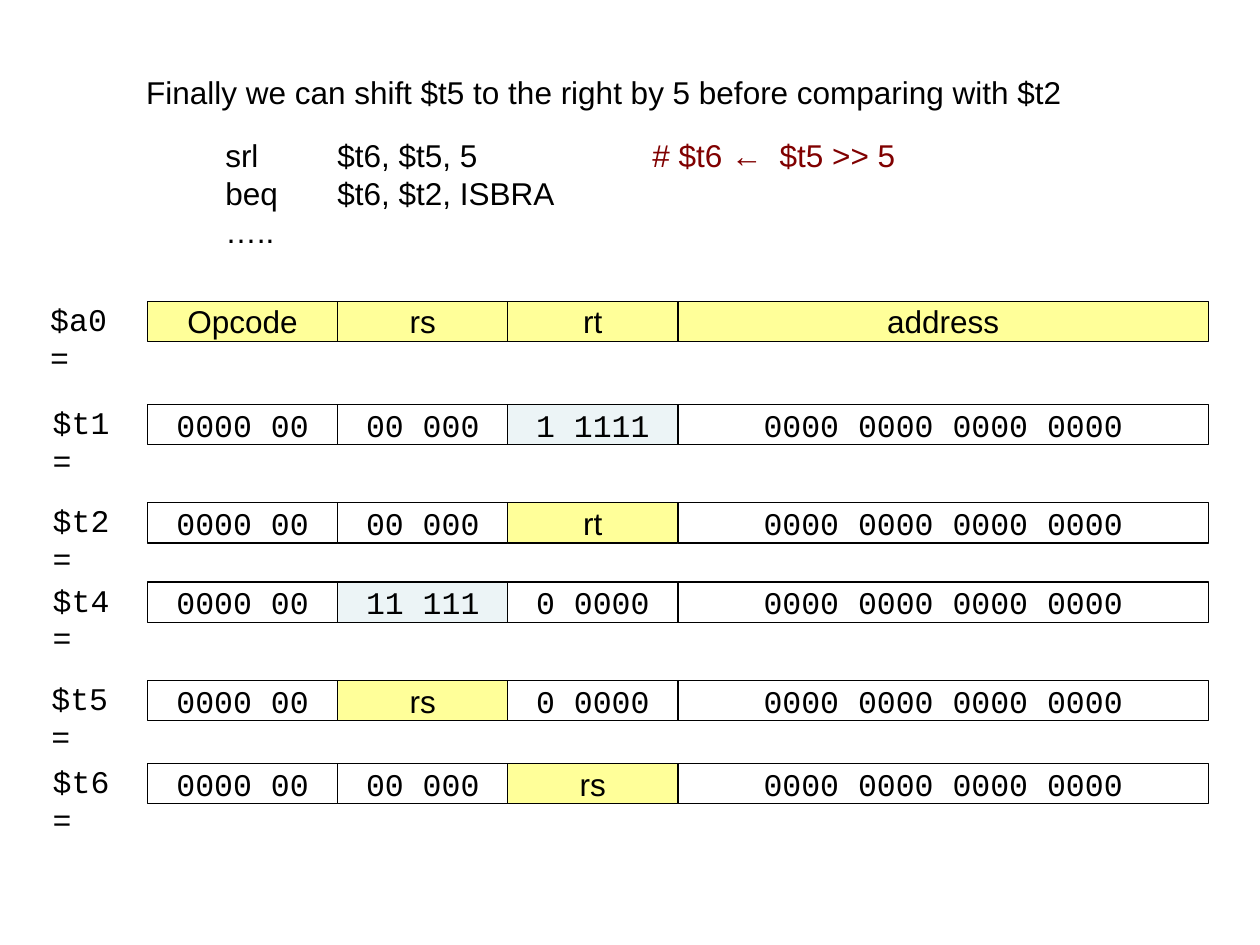
from dataclasses import dataclass
from itertools import accumulate

from lxml.etree import SubElement
from pptx import Presentation
from pptx.dml.color import RGBColor
from pptx.enum.shapes import MSO_SHAPE
from pptx.enum.text import MSO_ANCHOR, PP_ALIGN
from pptx.oxml.ns import qn
from pptx.util import Inches, Pt


@dataclass(frozen=True)
class Theme:
    """Colours, fonts and sizes of the slide."""
    ink: RGBColor = RGBColor(0, 0, 0)
    note: RGBColor = RGBColor(0x80, 0, 0)
    field: RGBColor = RGBColor(0xFF, 0xFF, 0x99)
    mask: RGBColor = RGBColor(0xEC, 0xF4, 0xF6)
    plain: RGBColor = RGBColor(0xFF, 0xFF, 0xFF)
    sans: str = "Arial"
    mono: str = "Courier New"
    size: Pt = Pt(18)
    rule: Pt = Pt(0.75)


THEME = Theme()
WIDTHS = (1.51, 1.35, 1.35, 4.21)
LEFTS = tuple(accumulate(WIDTHS[:-1], initial=1.17))
HIGH = 0.32
ZEROS = "0000 0000 0000 0000"
ROWS = (
    ("$a0 =", 0.3, 2.39, ("Opcode", "rs", "rt", "address")),
    ("$t1 =", 0.32, 3.21, ("0000 00", "00 000", "1 1111", ZEROS)),
    ("$t2 =", 0.32, 3.99, ("0000 00", "00 000", "rt", ZEROS)),
    ("$t4 =", 0.32, 4.62, ("0000 00", "11 111", "0 0000", ZEROS)),
    ("$t5 =", 0.31, 5.4, ("0000 00", "rs", "0 0000", ZEROS)),
    ("$t6 =", 0.32, 6.06, ("0000 00", "00 000", "rs", ZEROS)),
)
CODE = (
    (("srl\t$t6, $t5, 5\t", THEME.ink), ("# $t6 ←\t$t5 >> 5", THEME.note)),
    (("beq\t$t6, $t2, ISBRA", THEME.ink),),
    (("…..", THEME.ink),),
)
STOPS = (0.89, 3.39, 4.4)


def apply(item, style):
    """Set each attribute named in style on item."""
    for name, value in style.items():
        setattr(item, name, value)


def write(para, text, face=THEME.sans, ink=THEME.ink):
    """Add a formatted run to a paragraph."""
    run = para.add_run()
    run.text = text
    apply(run.font, {"name": face, "size": THEME.size, "bold": False})
    run.font.color.rgb = ink


def set_tabs(para, stops):
    """Give a paragraph left tab stops, in inches."""
    tabs = SubElement(para._p.get_or_add_pPr(), qn("a:tabLst"))
    for stop in stops:
        SubElement(tabs, qn("a:tab"), pos=str(Inches(stop)), algn="l")


def add_title(slide, text):
    """Place the opening sentence in the title placeholder."""
    title = slide.shapes.title
    apply(title, {"left": Inches(1.06), "top": Inches(0.53),
                  "width": Inches(7.5), "height": Inches(0.4)})
    apply(title.text_frame, {"vertical_anchor": MSO_ANCHOR.TOP, "word_wrap": True})
    para = title.text_frame.paragraphs[0]
    para.alignment = PP_ALIGN.LEFT
    write(para, text)


def add_code(slide, lines):
    """Add the code listing with its columns on tab stops."""
    box = slide.shapes.add_textbox(Inches(1.69), Inches(1.03), Inches(5.6), Inches(1))
    frame = box.text_frame
    frame.word_wrap = True
    for num, line in enumerate(lines):
        para = frame.add_paragraph() if num else frame.paragraphs[0]
        set_tabs(para, STOPS)
        for text, ink in line:
            write(para, text, ink=ink)


def add_cell(group, text, left, top, width):
    """Add one bit field, styled by what it holds."""
    bits = text[0].isdigit()
    fill = THEME.field if not bits else THEME.mask if "1" in text else THEME.plain
    cell = group.shapes.add_shape(MSO_SHAPE.RECTANGLE, Inches(left), Inches(top),
                                  Inches(width), Inches(HIGH))
    cell.shadow.inherit = False
    cell.fill.solid()
    cell.fill.fore_color.rgb = fill
    cell.line.color.rgb = THEME.ink
    cell.line.width = THEME.rule
    apply(cell.text_frame, {"vertical_anchor": MSO_ANCHOR.MIDDLE, "word_wrap": False})
    para = cell.text_frame.paragraphs[0]
    para.alignment = PP_ALIGN.CENTER
    write(para, text, THEME.mono if bits else THEME.sans)


def add_row(slide, label, edge, top, texts):
    """Add one register as a group of fields and a label."""
    group = slide.shapes.add_group_shape()
    for text, left, width in zip(texts, LEFTS, WIDTHS):
        add_cell(group, text, left, top, width)
    box = group.shapes.add_textbox(Inches(edge), Inches(top - 0.06),
                                   Inches(0.78), Inches(0.4))
    box.text_frame.word_wrap = True
    write(box.text_frame.paragraphs[0], label, THEME.mono)


def main():
    """Build and save the slide."""
    deck = Presentation()
    apply(deck, {"slide_width": Inches(10), "slide_height": Inches(7.5)})
    slide = deck.slides.add_slide(deck.slide_layouts[5])
    add_title(slide, "Finally we can shift $t5 to the right by 5 before comparing with $t2")
    for row in ROWS:
        add_row(slide, *row)
    add_code(slide, CODE)
    deck.save("out.pptx")


if __name__ == "__main__":
    main()
